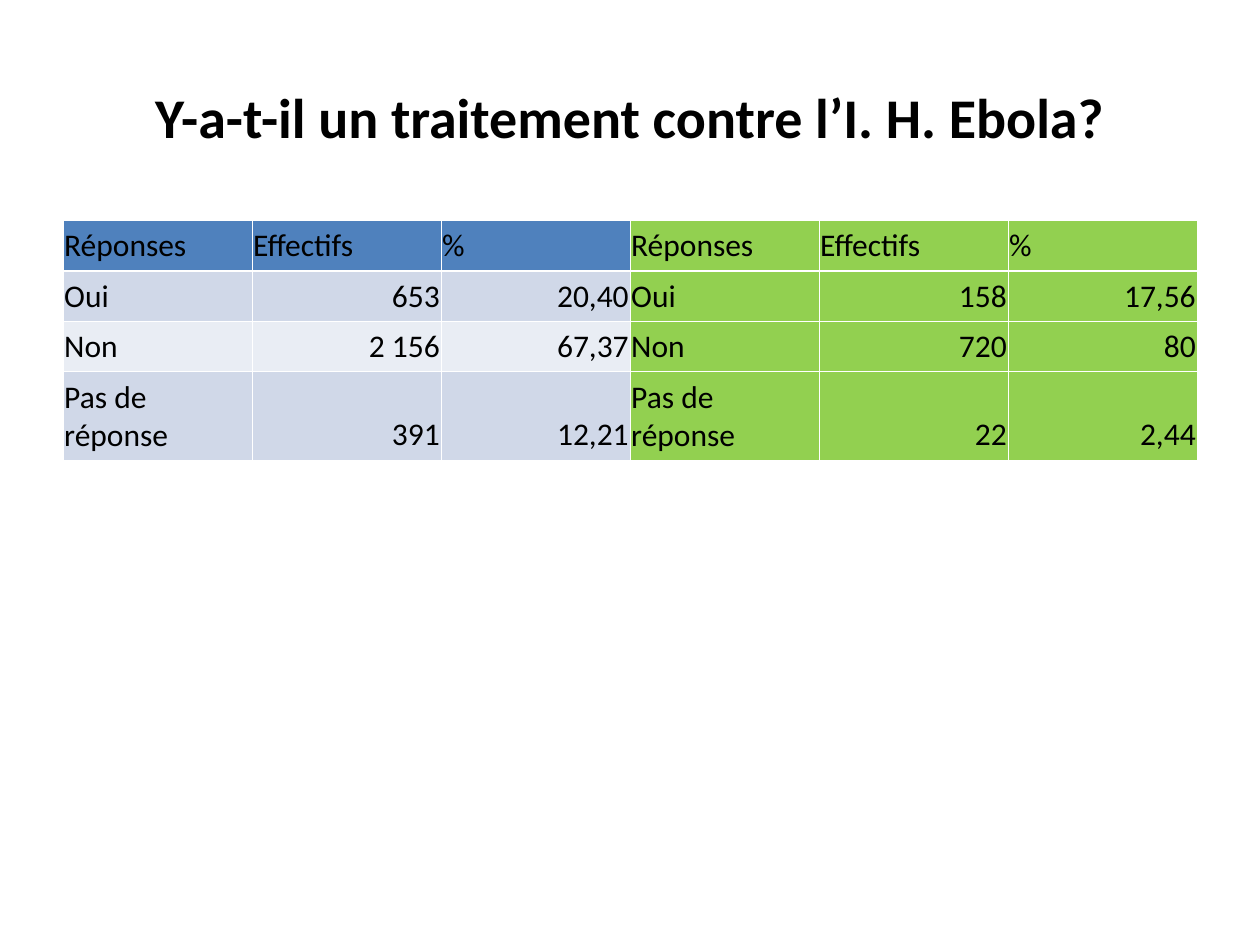
from lxml.etree import SubElement
from pptx import Presentation
from pptx.dml.color import RGBColor
from pptx.enum.text import MSO_ANCHOR, PP_ALIGN
from pptx.oxml.ns import qn
from pptx.util import Inches, Pt

COLORS = {"text": "000000", "border": "FFFFFF", "header": "4F81BD",
          "band_dark": "D0D8E8", "band_light": "E9EDF4", "green": "92D050"}
HEADER = ["Réponses", "Effectifs", "%"]
ANSWERS = [
    ("Oui", "653", "20,40", "158", "17,56"),
    ("Non", "2 156", "67,37", "720", "80"),
    ("Pas de réponse", "391", "12,21", "22", "2,44"),
]
ROW_FILLS = ["header", "band_dark", "band_light", "band_dark"]
ROW_HEIGHTS = [0.4, 0.4, 0.4, 0.62]
THIN, THICK = 0.45, 1.47


def write(tf, text, size=18, bold=False, align=PP_ALIGN.LEFT):
    tf.word_wrap = True
    p = tf.paragraphs[0]
    p.alignment = align
    r = p.add_run()
    r.text = text
    r.font.name = "Calibri"
    r.font.size = Pt(size)
    r.font.bold = bold
    r.font.color.rgb = RGBColor.from_string(COLORS["text"])


def set_borders(cell, top, bottom):
    """Draw the four borders; call before the fill, which must follow them."""
    tc_pr = cell._tc.get_or_add_tcPr()
    for side, width in (("L", THIN), ("R", THIN), ("T", top), ("B", bottom)):
        ln = SubElement(tc_pr, qn(f"a:ln{side}"), w=str(Pt(width)))
        fill = SubElement(ln, qn("a:solidFill"))
        SubElement(fill, qn("a:srgbClr"), val=COLORS["border"])


def add_title(s, text, left, top, width, height):
    sp = s.shapes.add_textbox(Inches(left), Inches(top), Inches(width), Inches(height))
    sp.text_frame.vertical_anchor = MSO_ANCHOR.MIDDLE
    write(sp.text_frame, text, size=32, bold=True, align=PP_ALIGN.CENTER)


def add_answer_table(s, left, top, width):
    """Place two surveys side by side: banded blue, then green."""
    rows = [HEADER * 2]
    rows += [(label, n1, pct1, label, n2, pct2) for label, n1, pct1, n2, pct2 in ANSWERS]
    columns = len(rows[0])
    table = s.shapes.add_table(len(rows), columns, Inches(left), Inches(top),
                               Inches(width), Inches(sum(ROW_HEIGHTS))).table
    for column in table.columns:
        column.width = Inches(width / columns)
    for i, values in enumerate(rows):
        table.rows[i].height = Inches(ROW_HEIGHTS[i])
        for j, value in enumerate(values):
            cell = table.cell(i, j)
            cell.margin_left = cell.margin_right = Inches(0.01)
            cell.margin_top = cell.margin_bottom = Inches(0.05)
            cell.vertical_anchor = MSO_ANCHOR.BOTTOM
            set_borders(cell, top=THICK if i == 1 else THIN,
                        bottom=THICK if i == 0 else THIN)
            fill = ROW_FILLS[i] if j < len(HEADER) else "green"
            cell.fill.solid()
            cell.fill.fore_color.rgb = RGBColor.from_string(COLORS[fill])
            is_number = i > 0 and j % len(HEADER) > 0
            write(cell.text_frame, value,
                  align=PP_ALIGN.RIGHT if is_number else PP_ALIGN.LEFT)


def main():
    prs = Presentation()
    prs.slide_width, prs.slide_height = Inches(10), Inches(7.5)
    s = prs.slides.add_slide(prs.slide_layouts[6])
    add_title(s, "Y-a-t-il un traitement contre l’I. H. Ebola?", 0.5, 0.3, 9, 1.25)
    add_answer_table(s, 0.5, 1.75, 9)
    prs.save("out.pptx")


if __name__ == "__main__":
    main()
